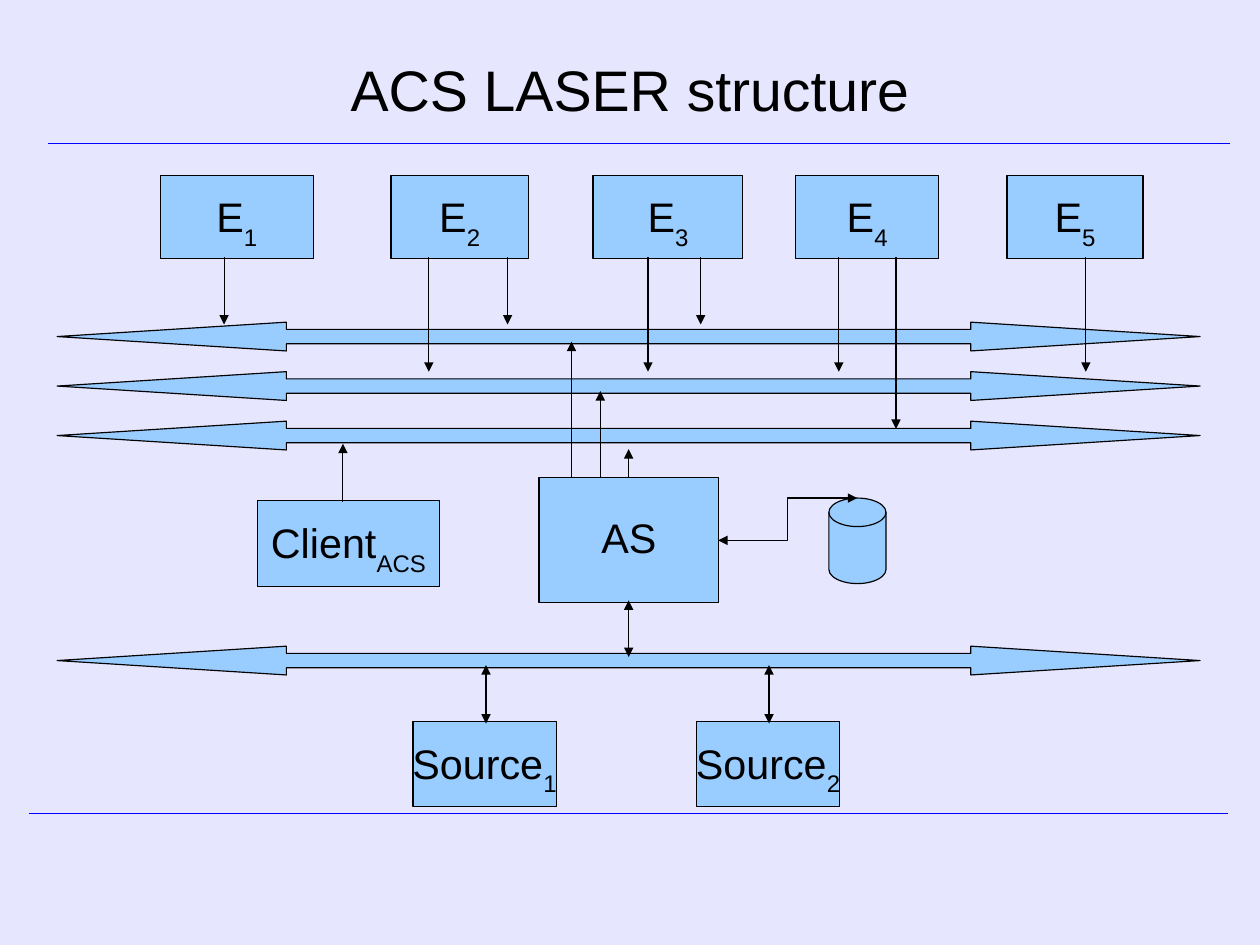
from lxml.etree import SubElement
from pptx import Presentation
from pptx.dml.color import RGBColor
from pptx.enum.shapes import MSO_CONNECTOR as Link, MSO_SHAPE as Shape
from pptx.enum.text import MSO_ANCHOR as Anchor, PP_ALIGN as Align
from pptx.oxml.ns import qn
from pptx.util import Cm, Pt

BACKGROUND, BLUE, BLACK, SKY = "E6E6FF", "0000FF", "000000", "99CCFF"

deck = Presentation()
deck.slide_width, deck.slide_height = Cm(28), Cm(21)
page = deck.slides.add_slide(deck.slide_layouts[5])
page.background.fill.solid()
page.background.fill.fore_color.rgb = RGBColor.from_string(BACKGROUND)


def add_block(kind, left, top, width, height, label="", subscript=""):
    """Draw a sky-blue shape, or fill the title when kind is None."""
    if kind is None:
        block = page.shapes.title
        block.left, block.top = Cm(left), Cm(top)
        block.width, block.height = Cm(width), Cm(height)
    else:
        block = page.shapes.add_shape(kind, Cm(left), Cm(top), Cm(width), Cm(height))
        block.shadow.inherit = False
        block.fill.solid()
        block.fill.fore_color.rgb = RGBColor.from_string(SKY)
        block.line.color.rgb = RGBColor.from_string(BLACK)
        block.line.width = Pt(0.75)
    if not label:
        return block
    frame = block.text_frame
    frame.vertical_anchor = Anchor.MIDDLE
    frame.word_wrap = kind is None
    para = frame.paragraphs[0]
    para.alignment, para.line_spacing = Align.CENTER, 0.87
    text_format = {"name": "Arial", "size": Pt(36 if kind is None else 26)}
    for text, baseline in ((label, None), (subscript, "-33000")):
        if not text:
            continue
        span = para.add_run()
        span.text = text
        for name, value in text_format.items():
            setattr(span.font, name, value)
        span.font.color.rgb = RGBColor.from_string(BLACK)
        if baseline:
            span._r.get_or_add_rPr().set("baseline", baseline)
    return block


def add_line(x1, y1, x2, y2, ends=(), color=BLACK, kind=Link.STRAIGHT):
    """Draw a line; ends lists the arrowheads, headEnd before tailEnd."""
    line = page.shapes.add_connector(kind, Cm(x1), Cm(y1), Cm(x2), Cm(y2))
    line.line.color.rgb = RGBColor.from_string(color)
    line.line.width = Pt(0.75)
    properties = line._element.spPr
    for end in ends:
        SubElement(properties.find(qn("a:ln")), qn(f"a:{end}"), type="triangle")
    SubElement(properties, qn("a:effectLst"))


ONE_WAY = ("tailEnd",)
TWO_WAY = ("headEnd", "tailEnd")

# Title and rules
title = add_block(None, 1.4, 0.33, 25.2, 3.51, "ACS LASER structure")
for side in ("left", "top", "right", "bottom"):
    setattr(title.text_frame, f"margin_{side}", 0)
add_line(0.64, 18.08, 27.3, 18.08, color=BLUE)
add_line(1.07, 3.18, 27.33, 3.18, color=BLUE)

# Elements
elements = [(3.56, 3.4), (8.69, 3.05), (13.18, 3.33), (17.68, 3.18), (22.38, 3.02)]
for number, (left, width) in enumerate(elements, 1):
    add_block(Shape.FLOWCHART_PROCESS, left, 3.91, width, 1.83, "E", str(number))

# Buses
for top in (7.16, 8.26, 9.36, 14.36):
    bus = add_block(Shape.LEFT_RIGHT_ARROW, 1.27, top, 25.4, 0.64)
    bus.adjustments[0], bus.adjustments[1] = 0.5, 7.96

# Server, storage, client and sources
add_block(Shape.FLOWCHART_PROCESS, 11.98, 10.62, 3.99, 2.77, "AS")
add_block(Shape.FLOWCHART_MAGNETIC_DISK, 18.42, 11.07, 1.27, 1.9)
add_block(Shape.FLOWCHART_PROCESS, 5.72, 11.13, 4.04, 1.9, "Client", "ACS")
for number, left in enumerate((9.18, 15.48), 1):
    add_block(Shape.FLOWCHART_PROCESS, left, 16.03, 3.18, 1.9, "Source", str(number))

# Arrows from the elements down to each bus
bus_drops = {
    7.21: (4.98, 11.28, 15.57),
    8.26: (9.53, 14.4, 18.64, 24.13),
    9.53: (19.91,),
}
for bottom, columns in bus_drops.items():
    for x in columns:
        add_line(x, 5.72, x, bottom, ONE_WAY)

# Arrows from the server and the client up to the buses
for x, start, end in ((12.7, 10.62, 7.59), (13.34, 10.62, 8.69),
                      (13.97, 10.62, 9.98), (7.62, 11.15, 9.86)):
    add_line(x, start, x, end, ONE_WAY)

# Two-way links
for x, start, end in ((13.97, 13.34, 14.6), (10.8, 16.08, 14.78), (17.09, 16.08, 14.78)):
    add_line(x, start, x, end, TWO_WAY)
add_line(15.96, 12.01, 19.05, 11.07, TWO_WAY, kind=Link.ELBOW)

deck.save("out.pptx")
